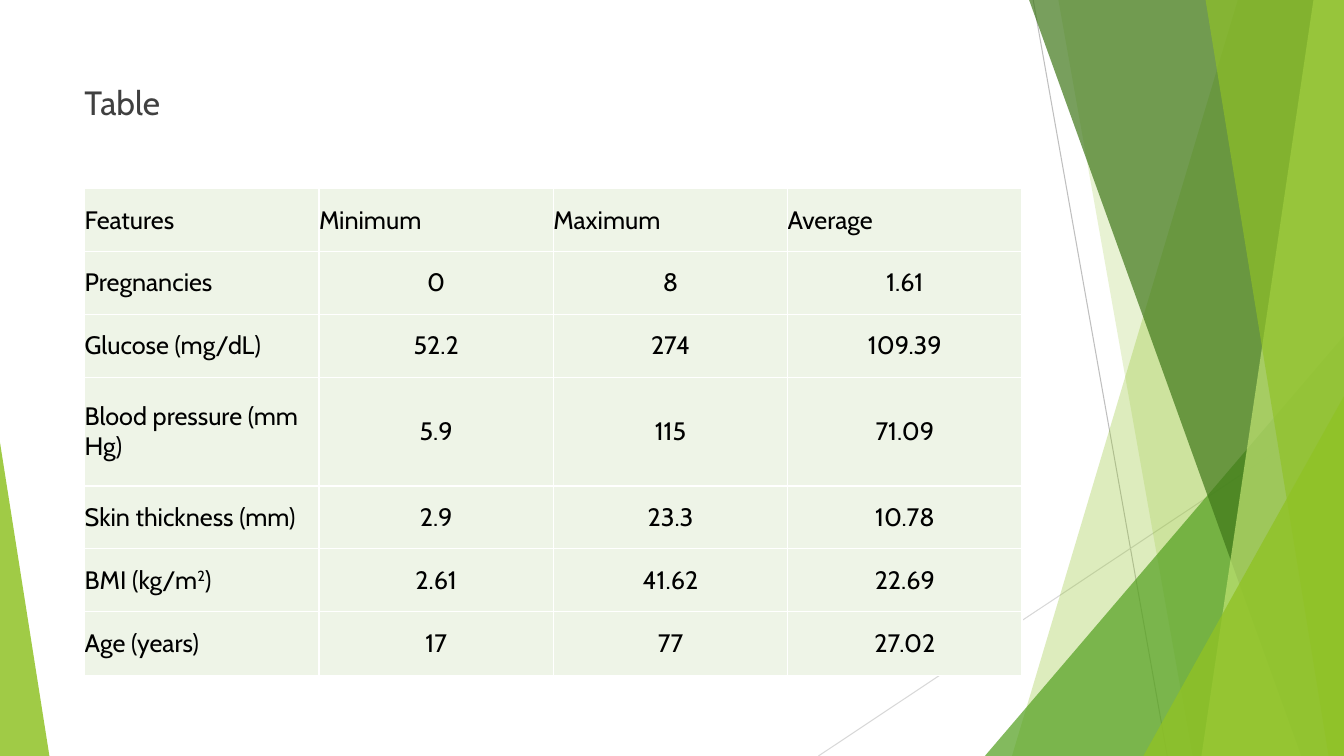
from lxml.etree import SubElement
from pptx import Presentation
from pptx.dml.color import RGBColor
from pptx.enum.shapes import MSO_CONNECTOR, MSO_SHAPE
from pptx.enum.text import MSO_ANCHOR, PP_ALIGN
from pptx.oxml.ns import qn
from pptx.util import Pt

WIDE, HIGH = 960, 540
FONT = "Cabin"

# Each band: outline points, fill, opacity in percent
BACK = [
    ([(884.2, 0), (WIDE, 0), (WIDE, HIGH), (722.9, HIGH)], "90C226", 30),
    ([(756, 0), (WIDE, 0), (WIDE, HIGH), (851.8, HIGH)], "90C226", 20),
]
FRONT = [
    ([(735.1, 0), (WIDE, 0), (WIDE, HIGH), (929.5, HIGH)], "3F7719", 70),
    ([(938.2, 0), (WIDE, 0), (WIDE, HIGH), (858.2, HIGH)], "C0E373", 70),
    ([(861.1, 0), (WIDE, 0), (WIDE, HIGH), (949, HIGH)], "90C226", 65),
]

ROWS = [
    ("Features", "Minimum", "Maximum", "Average"),
    ("Pregnancies", "0", "8", "1.61"),
    ("Glucose (mg/dL)", "52.2", "274", "109.39"),
    ("Blood pressure (mm Hg)", "5.9", "115", "71.09"),
    ("Skin thickness (mm)", "2.9", "23.3", "10.78"),
    ("BMI (kg/m^2^)", "2.61", "41.62", "22.69"),
    ("Age (years)", "17", "77", "27.02"),
]
HEIGHTS = [44.9, 44.9, 44.9, 77.8, 44.9, 44.9, 45.7]
COL = 167.4


def color(code):
    return RGBColor.from_string(code)


def paint(shape, code, alpha):
    """Fill a shape with a see-through colour, without line or shadow."""
    shape.shadow.inherit = False
    shape.line.fill.background()
    shape.fill.solid()
    shape.fill.fore_color.rgb = color(code)
    tone = shape.fill._xPr.find(".//" + qn("a:srgbClr"))
    SubElement(tone, qn("a:alpha"), val=str(alpha * 1000))


def add_band(slide, points, code, alpha):
    spots = [(Pt(x), Pt(y)) for x, y in points]
    pen = slide.shapes.build_freeform(*spots[0])
    pen.add_line_segments(spots[1:], close=True)
    paint(pen.convert_to_shape(), code, alpha)


def add_wedge(slide, left, top, width, peak, code, alpha):
    """Add a triangle down to the slide's foot; peak is its tip from 0 to 1."""
    shape = slide.shapes.add_shape(
        MSO_SHAPE.ISOSCELES_TRIANGLE, Pt(left), Pt(top), Pt(width), Pt(HIGH - top))
    shape.adjustments[0] = peak
    paint(shape, code, alpha)


def add_line(slide, start, end, code):
    line = slide.shapes.add_connector(
        MSO_CONNECTOR.STRAIGHT, *[Pt(n) for n in start + end])
    line.line.color.rgb = color(code)
    line.line.width = Pt(0.75)
    SubElement(line._element.spPr, qn("a:effectLst"))


def style(run, size, code):
    run.font.name = FONT
    run.font.size = Pt(size)
    run.font.color.rgb = color(code)


def add_title(slide, text):
    box = slide.shapes.add_textbox(Pt(53.3), Pt(54.7), Pt(676.8), Pt(420.5))
    box.text_frame.word_wrap = True
    box.text_frame.text = text
    para = box.text_frame.paragraphs[0]
    para.space_before = Pt(10)
    style(para.runs[0], 24, "404040")


def add_edges(cell):
    props = cell._tc.get_or_add_tcPr()
    for i, side in enumerate(("lnL", "lnR", "lnT", "lnB")):
        edge = SubElement(props, qn("a:" + side), w=str(Pt(1)))
        fill = SubElement(edge, qn("a:solidFill"))
        SubElement(fill, qn("a:srgbClr"), val="FFFFFF")
        props.remove(edge)
        props.insert(i, edge)


def fill_cell(cell, text, align):
    """Write a cell; text between carets is raised."""
    cell.margin_left = cell.margin_right = 0
    cell.margin_top = cell.margin_bottom = 0
    cell.vertical_anchor = MSO_ANCHOR.MIDDLE
    cell.fill.solid()
    cell.fill.fore_color.rgb = color("EEF4E7")
    add_edges(cell)
    para = cell.text_frame.paragraphs[0]
    para.alignment = align
    for i, part in enumerate(text.split("^")):
        run = para.add_run()
        run.text = part
        style(run, 18, "000000")
        if i % 2:
            run.font._element.set("baseline", "30000")


def add_grid(slide, rows, heights):
    cols = len(rows[0])
    table = slide.shapes.add_table(
        len(rows), cols, Pt(60.5), Pt(134.8), Pt(COL * cols), Pt(sum(heights))).table
    for col in table.columns:
        col.width = Pt(COL)
    for r, (row, height) in enumerate(zip(rows, heights)):
        table.rows[r].height = Pt(height)
        for c, text in enumerate(row):
            align = PP_ALIGN.CENTER if r and c else PP_ALIGN.LEFT
            fill_cell(table.cell(r, c), text, align)


def main():
    deck = Presentation()
    deck.slide_width, deck.slide_height = Pt(WIDE), Pt(HIGH)
    slide = deck.slides.add_slide(deck.slide_layouts[6])
    add_line(slide, (738, 0), (833.8, HIGH), "BFBFBF")
    add_line(slide, (WIDE, 290.2), (584.6, HIGH), "D8D8D8")
    for band in BACK:
        add_band(slide, *band)
    add_wedge(slide, 703.5, 239.8, 256.5, 1, "54A021", 72)
    for band in FRONT:
        add_band(slide, *band)
    add_wedge(slide, 816.7, 283, 143.3, 1, "90C226", 80)
    add_wedge(slide, 0, 316.1, 35.3, 0, "90C226", 85)
    add_title(slide, "Table")
    add_grid(slide, ROWS, HEIGHTS)
    deck.save("out.pptx")


if __name__ == "__main__":
    main()
